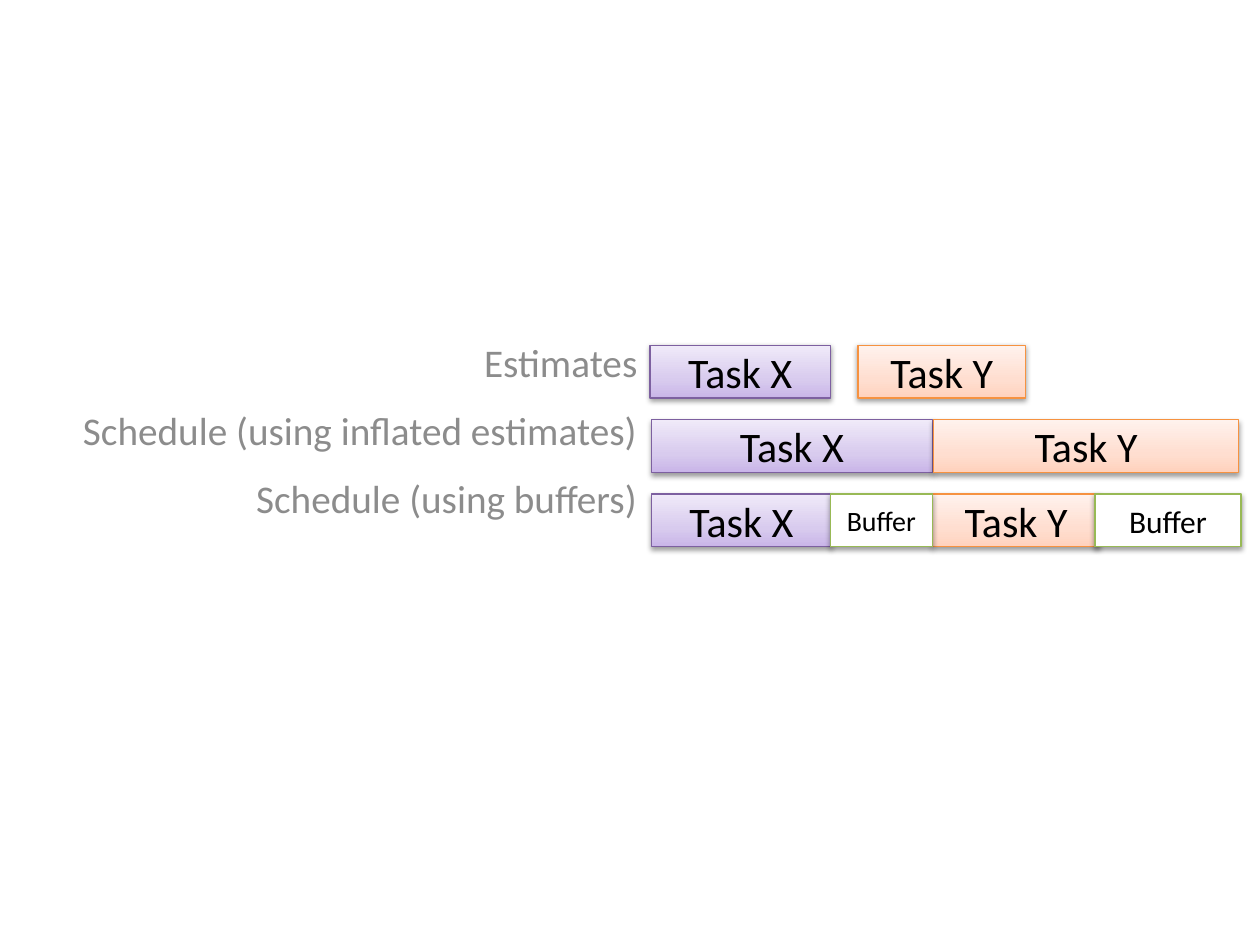
from copy import deepcopy

from lxml import etree
from pptx import Presentation
from pptx.dml.color import RGBColor
from pptx.enum.shapes import MSO_SHAPE
from pptx.enum.text import MSO_ANCHOR, MSO_AUTO_SIZE, PP_ALIGN
from pptx.oxml.ns import qn
from pptx.util import Pt

RECTANGLE = MSO_SHAPE.RECTANGLE
MIDDLE, TOP = MSO_ANCHOR.MIDDLE, MSO_ANCHOR.TOP
CENTER, RIGHT = PP_ALIGN.CENTER, PP_ALIGN.RIGHT
NO_AUTOFIT = MSO_AUTO_SIZE.NONE

FONT = "Calibri"
BAR_HEIGHT = 30.24
ROW_PITCH = 42.48

STYLES = {
    "Task X": ("7D60A0", ("C9B5E8", "D8CBEE", "F0EAF9")),
    "Task Y": ("F69240", ("FFD2BD", "FFDED0", "FFF2ED")),
    "Buffer": ("98B955", ("FFFFFF",)),
}

LABELS = ("Estimates", "Schedule (using inflated estimates)", "Schedule (using buffers)")

ROWS = (
    (("Task X", 0, 102.96, 24), ("Task Y", 118.8, 95.76, 24)),
    (("Task X", 0.72, 160.56, 24), ("Task Y", 162, 174.24, 24)),
    (
        ("Task X", 0.72, 102.96, 24),
        ("Task Y", 161.28, 95.76, 24),
        ("Buffer", 102.96, 58.32, 16),
        ("Buffer", 254.16, 83.52, 18),
    ),
)


def color(value):
    return RGBColor.from_string(value)


def set_font(para, size, value):
    para.font.name = FONT
    para.font.size = Pt(size)
    para.font.color.rgb = color(value)


def fill_bar(bar, colors):
    if len(colors) == 1:
        bar.fill.solid()
        bar.fill.fore_color.rgb = color(colors[0])
        return
    bar.fill.gradient()
    bar.fill.gradient_angle = 90
    stop_list = bar._element.spPr.find(".//" + qn("a:gsLst"))
    stop_list.insert(1, deepcopy(stop_list[0]))
    for stop, value, position in zip(bar.fill.gradient_stops, colors, (0, 0.35, 1)):
        stop.color.rgb = color(value)
        stop.position = position


def add_shadow(bar):
    bar.shadow.inherit = False
    effects = bar._element.spPr.find(qn("a:effectLst"))
    shadow = etree.SubElement(
        effects, qn("a:outerShdw"),
        blurRad=str(Pt(3.1)), dist=str(Pt(1.6)), dir="5400000", rotWithShape="0",
    )
    black = etree.SubElement(shadow, qn("a:srgbClr"), val="000000")
    etree.SubElement(black, qn("a:alpha"), val="38000")


def add_bar(page, text, left, top, width, size):
    line_color, colors = STYLES[text]
    bar = page.shapes.add_shape(RECTANGLE, Pt(left), Pt(top), Pt(width), Pt(BAR_HEIGHT))
    fill_bar(bar, colors)
    bar.line.color.rgb = color(line_color)
    bar.line.width = Pt(0.75)
    add_shadow(bar)
    bar.text_frame.vertical_anchor = MIDDLE
    para = bar.text_frame.paragraphs[0]
    para.text = text
    para.alignment = CENTER
    set_font(para, size, "000000")


def add_timeline(page, left, top):
    for index, row in enumerate(ROWS):
        for text, offset, width, size in row:
            add_bar(page, text, left + offset, top + index * ROW_PITCH, width, size)


def place_labels(box, left, top, width, height):
    box.left, box.top, box.width, box.height = Pt(left), Pt(top), Pt(width), Pt(height)
    frame = box.text_frame
    frame.word_wrap = True
    frame.auto_size = NO_AUTOFIT
    frame.vertical_anchor = TOP
    frame.text = "\n".join(LABELS)
    for index, para in enumerate(frame.paragraphs):
        para.alignment = RIGHT
        para.line_spacing = 1.3
        para.space_before = Pt(4 if index else 0)
        properties = para._p.get_or_add_pPr()
        properties.set("marL", "0")
        properties.set("indent", "0")
        etree.SubElement(properties, qn("a:buNone"))
        set_font(para, 22.4, "8C8C8C")


def main():
    deck = Presentation()
    deck.slide_width, deck.slide_height = Pt(720), Pt(540)
    page = deck.slides.add_slide(deck.slide_layouts[1])
    title = page.shapes.title._element
    title.getparent().remove(title)
    place_labels(page.placeholders[1], 20.16, 181.44, 351.36, 132.48)
    add_timeline(page, 371.52, 197.28)
    deck.save("out.pptx")


if __name__ == "__main__":
    main()
